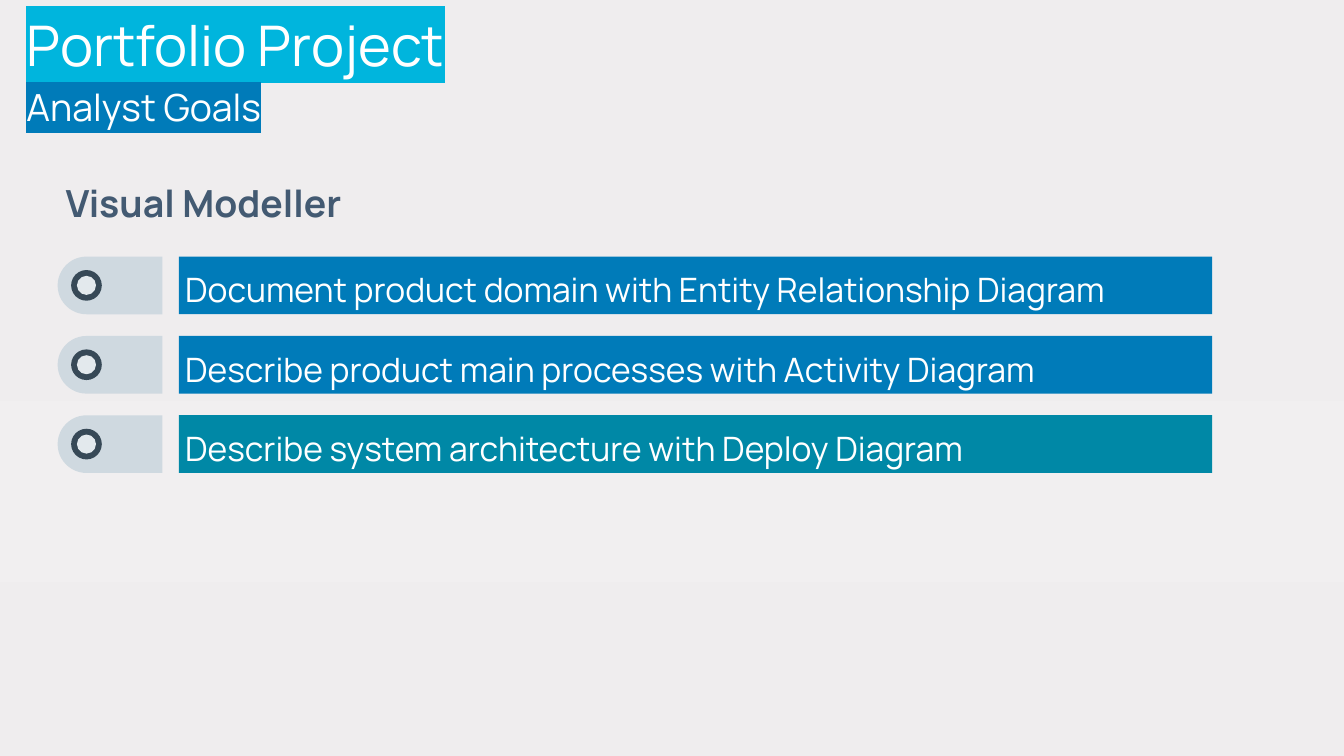
from lxml import etree
from pptx import Presentation
from pptx.dml.color import RGBColor
from pptx.enum import shapes, text
from pptx.oxml import ns
from pptx.util import Cm, Pt

FONT = "Manrope"
WHITE = "FFFFFF"
BLUE = "007BB9"
TEAL = "0088A6"
CYAN = "00B5DD"
SLATE = "435A72"
KIND = shapes.MSO_SHAPE


def paint(color, code):
    color.rgb = RGBColor.from_string(code)


class Deck:
    def __init__(self, wide, high):
        self.show = Presentation()
        self.show.slide_width = Cm(wide)
        self.show.slide_height = Cm(high)
        self.slide = self.show.slides.add_slide(self.show.slide_layouts[5])

    def ground(self, stops):
        fill = self.slide.background.fill
        fill.gradient()
        fill.gradient_angle = 270
        ramp = self.slide.element.find(".//" + ns.qn("a:gsLst"))
        for old in list(ramp):
            ramp.remove(old)
        for place, code in stops:
            stop = etree.SubElement(ramp, ns.qn("a:gs"), pos=str(place * 1000))
            etree.SubElement(stop, ns.qn("a:srgbClr"), val=code)

    def frame(self, box, anchor):
        frame = box.text_frame
        frame.margin_left = frame.margin_right = 0
        frame.margin_top = frame.margin_bottom = 0
        frame.word_wrap = True
        frame.auto_size = text.MSO_AUTO_SIZE.NONE
        frame.vertical_anchor = anchor
        return frame

    def add_run(self, para, words, size, code, space, bold=False, mark=None):
        para.alignment = text.PP_ALIGN.LEFT
        para.line_spacing = space
        run = para.add_run()
        run.text = words
        run.font.name = FONT
        run.font.size = Pt(size)
        run.font.bold = bold
        paint(run.font.color, code)
        if mark:
            light = etree.Element(ns.qn("a:highlight"))
            etree.SubElement(light, ns.qn("a:srgbClr"), val=mark)
            solid = para.runs[-1].font._element.find(".//" + ns.qn("a:solidFill"))
            solid.addnext(light)

    def title(self, x, y, w, h, lines):
        box = self.slide.shapes.title
        box.left, box.top, box.width, box.height = Cm(x), Cm(y), Cm(w), Cm(h)
        frame = self.frame(box, text.MSO_ANCHOR.TOP)
        for i, (words, size, mark) in enumerate(lines):
            para = frame.add_paragraph() if i else frame.paragraphs[0]
            para.space_before = Pt(0)
            self.add_run(para, words, size, WHITE, 1.15, mark=mark)

    def label(self, x, y, w, h, words, size, code, bold=False):
        box = self.slide.shapes.add_textbox(Cm(x), Cm(y), Cm(w), Cm(h))
        frame = self.frame(box, text.MSO_ANCHOR.MIDDLE)
        self.add_run(frame.paragraphs[0], words, size, code, 1.1, bold)

    def shape(self, kind, x, y, w, h, code):
        shape = self.slide.shapes.add_shape(kind, Cm(x), Cm(y), Cm(w), Cm(h))
        shape.shadow.inherit = False
        shape.fill.solid()
        paint(shape.fill.fore_color, code)
        shape.line.fill.background()
        return shape

    def tab(self, x, y, w, h):
        left, top = x + (w - h) / 2, y + (h - w) / 2
        tab = self.shape(KIND.ROUND_2_SAME_RECTANGLE, left, top, h, w, "CFD9E0")
        tab.adjustments[0] = 0.5
        tab.rotation = 270
        for size, code in ((0.58, "374957"), (0.36, "E3E9ED")):
            gap = (h - size) / 2
            self.shape(KIND.OVAL, x + gap, y + gap, size, size, code)

    def goal(self, y, h, words, code):
        self.shape(KIND.RECTANGLE, 3.38, y, 19.53, h, code)
        self.tab(1.09, y, 1.98, h)
        self.label(3.5, y + 0.04, 19, h, words, 18, WHITE)


def main():
    deck = Deck(25.4, 14.29)
    deck.ground([(0, "EFEDEE"), (53, "F1EFF0"), (77, "EFEDEE"), (100, "EFEBEC")])
    deck.title(0.5, 0, 14.8, 2.82, [
        ("Portfolio Project", 30, CYAN),
        ("Analyst Goals", 20, BLUE),
    ])
    deck.label(1.24, 3.25, 10.39, 1.09, "Visual Modeller", 20, SLATE, True)
    goals = [
        ("Document product domain with Entity Relationship Diagram", BLUE),
        ("Describe product main processes with Activity Diagram", BLUE),
        ("Describe system architecture with Deploy Diagram", TEAL),
    ]
    for i, (words, code) in enumerate(goals):
        deck.goal(4.85 + 1.5 * i, 1.09, words, code)
    deck.show.save("out.pptx")


if __name__ == "__main__":
    main()
